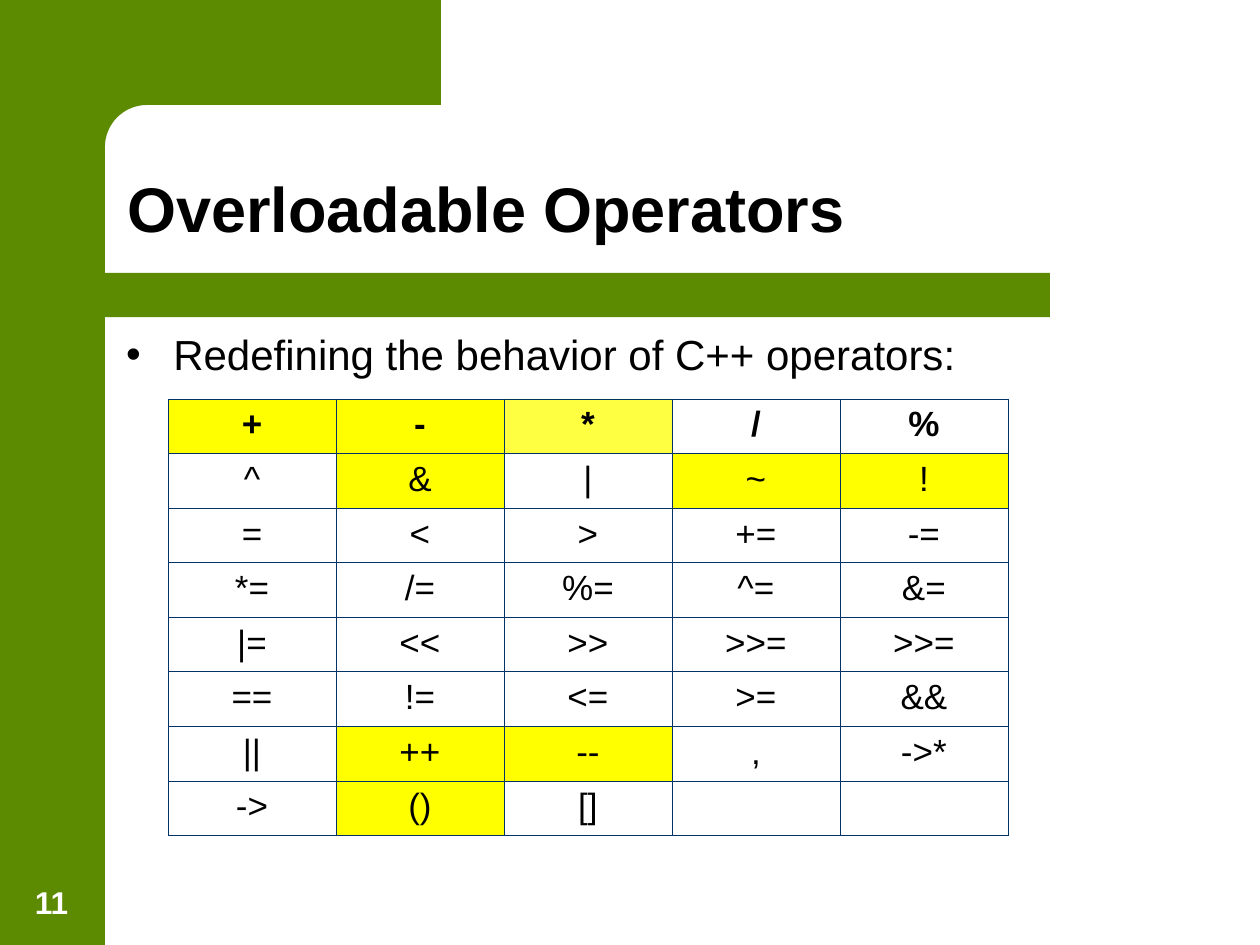
import math

import lxml.etree
import pptx
import pptx.dml.color
import pptx.enum.shapes
import pptx.enum.text
import pptx.oxml.ns
import pptx.util

Pt = pptx.util.Pt
qn = pptx.oxml.ns.qn
PRESETS = pptx.enum.shapes.MSO_SHAPE
ALIGN = pptx.enum.text.PP_ALIGN
ANCHOR = pptx.enum.text.MSO_ANCHOR

GREEN, YELLOW, WHITE, BLACK, NAVY = "5C8A00", "FFFF00", "FFFFFF", "000000", "003366"
OPERATORS = [
    ["+", "-", "*", "/", "%"],
    ["^", "&", "|", "~", "!"],
    ["=", "<", ">", "+=", "-="],
    ["*=", "/=", "%=", "^=", "&="],
    ["|=", "<<", ">>", ">>=", ">>="],
    ["==", "!=", "<=", ">=", "&&"],
    ["||", "++", "--", ",", "->*"],
    ["->", "()", "[]", "", ""],
]
HIGHLIGHTED = {"+", "-", "*", "&", "~", "!", "++", "--", "()"}
COLUMN_WIDTH, ROW_HEIGHT = 96, 31.2


def rgb(value):
    """Turn a hex string into a colour."""
    return pptx.dml.color.RGBColor.from_string(value)


def apply(target, values):
    """Set each attribute in values on target."""
    for attribute, value in values.items():
        setattr(target, attribute, value)


def fill(target, color):
    """Give a shape or cell a solid fill."""
    target.fill.solid()
    target.fill.fore_color.rgb = rgb(color)


def write(paragraph, text, size, color=BLACK, bold=False):
    """Add a formatted run to a paragraph."""
    run = paragraph.add_run()
    run.text = text
    apply(run.font, {"name": "Arial", "size": Pt(size), "bold": bold})
    run.font.color.rgb = rgb(color)


def place(box, left, top, width, height, anchor):
    """Position a text-bearing shape and return its first paragraph."""
    apply(box, {"left": Pt(left), "top": Pt(top), "width": Pt(width), "height": Pt(height)})
    apply(box.text_frame, {
        "word_wrap": True,
        "auto_size": pptx.enum.text.MSO_AUTO_SIZE.NONE,
        "vertical_anchor": anchor,
    })
    paragraph = box.text_frame.paragraphs[0]
    apply(paragraph, {"alignment": ALIGN.LEFT, "space_before": Pt(0)})
    return paragraph


def finish_band(slide, band):
    """Paint a green band and send it behind the text."""
    fill(band, GREEN)
    band.line.fill.background()
    band.shadow.inherit = False
    slide.shapes._spTree.insert(2, band._element)


def add_band(slide, preset, left, top, width, height):
    """Add a preset shape as a green band."""
    band = slide.shapes.add_shape(preset, Pt(left), Pt(top), Pt(width), Pt(height))
    finish_band(slide, band)
    return band


def add_corner(slide):
    """Add the top band with its rounded inner corner."""
    center, radius, steps = 84, 24, 16
    angles = [math.pi / 2 * step / steps for step in range(steps + 1)]
    arc = [(center - radius * math.sin(a), center - radius * math.cos(a)) for a in angles]
    outline = [(252, 0), (252, 60), *arc, (60, 92), (36, 92), (36, 0)]
    points = [(Pt(x), Pt(y)) for x, y in outline]
    builder = slide.shapes.build_freeform(*points[0], scale=1.0)
    builder.add_line_segments(points[1:], close=True)
    finish_band(slide, builder.convert_to_shape())


def add_bullet(paragraph, indent):
    """Give a paragraph a black round bullet with a hanging indent."""
    properties = paragraph._p.get_or_add_pPr()
    properties.set("marL", str(Pt(indent)))
    properties.set("indent", str(-Pt(indent)))
    bullet_color = lxml.etree.SubElement(properties, qn("a:buClr"))
    lxml.etree.SubElement(bullet_color, qn("a:srgbClr"), val=BLACK)
    lxml.etree.SubElement(properties, qn("a:buFont"), typeface="Arial")
    lxml.etree.SubElement(properties, qn("a:buChar"), char="•")


def add_borders(cell):
    """Draw thin navy lines on all four sides of a cell."""
    properties = cell._tc.get_or_add_tcPr()
    for index, side in enumerate(("a:lnL", "a:lnR", "a:lnT", "a:lnB")):
        border = lxml.etree.Element(qn(side), w=str(Pt(0.45)))
        paint = lxml.etree.SubElement(border, qn("a:solidFill"))
        lxml.etree.SubElement(paint, qn("a:srgbClr"), val=NAVY)
        properties.insert(index, border)


def fill_cell(cell, operator, bold):
    """Write one operator and paint its cell."""
    fill(cell, YELLOW if operator in HIGHLIGHTED else WHITE)
    if operator == "*":
        shade = cell._tc.tcPr.find(".//" + qn("a:srgbClr"))
        lxml.etree.SubElement(shade, qn("a:alpha"), val="74000")
    add_borders(cell)
    paragraph = cell.text_frame.paragraphs[0]
    paragraph.alignment = ALIGN.CENTER
    if operator:
        write(paragraph, operator, 20, bold=bold)


def add_operator_table(slide, left, top):
    """Add the grid of overloadable operators."""
    rows, columns = len(OPERATORS), len(OPERATORS[0])
    grid = slide.shapes.add_table(
        rows, columns, Pt(left), Pt(top), Pt(columns * COLUMN_WIDTH), Pt(rows * ROW_HEIGHT)
    ).table
    apply(grid, {"first_row": False, "horz_banding": False})
    for column in grid.columns:
        column.width = Pt(COLUMN_WIDTH)
    for row_index, operators in enumerate(OPERATORS):
        grid.rows[row_index].height = Pt(ROW_HEIGHT)
        for column_index, operator in enumerate(operators):
            fill_cell(grid.cell(row_index, column_index), operator, row_index == 0)


def main():
    """Build and save the slide."""
    deck = pptx.Presentation()
    apply(deck, {"slide_width": Pt(720), "slide_height": Pt(540)})
    slide = deck.slides.add_slide(deck.slide_layouts[1])

    cap = add_band(slide, PRESETS.FLOWCHART_DELAY, 18, 156, 31, 25.2)
    cap._element.spPr.xfrm.set("flipH", "1")
    rule = add_band(slide, PRESETS.ROUNDED_RECTANGLE, 48, 156, 552, 25.2)
    rule.adjustments[0] = 0
    add_corner(slide)
    add_band(slide, PRESETS.RECTANGLE, 0, 0, 60, 540)

    heading = place(slide.shapes.title, 65.5, 65.5, 612.7, 78.5, ANCHOR.BOTTOM)
    heading.line_spacing = 0.9
    write(heading, "Overloadable Operators", 36, bold=True)

    intro = place(slide.placeholders[1], 64.8, 184.3, 653.8, 293, ANCHOR.TOP)
    add_bullet(intro, 27)
    write(intro, "Redefining the behavior of C++ operators:", 24)

    number_box = slide.shapes.add_textbox(0, 0, 0, 0)
    page_number = place(number_box, 6.5, 491.8, 46, 38.2, ANCHOR.BOTTOM)
    write(page_number, "11", 18, WHITE, True)
    page_number.alignment = ALIGN.CENTER

    add_operator_table(slide, 96, 228)
    deck.save("out.pptx")


if __name__ == "__main__":
    main()
